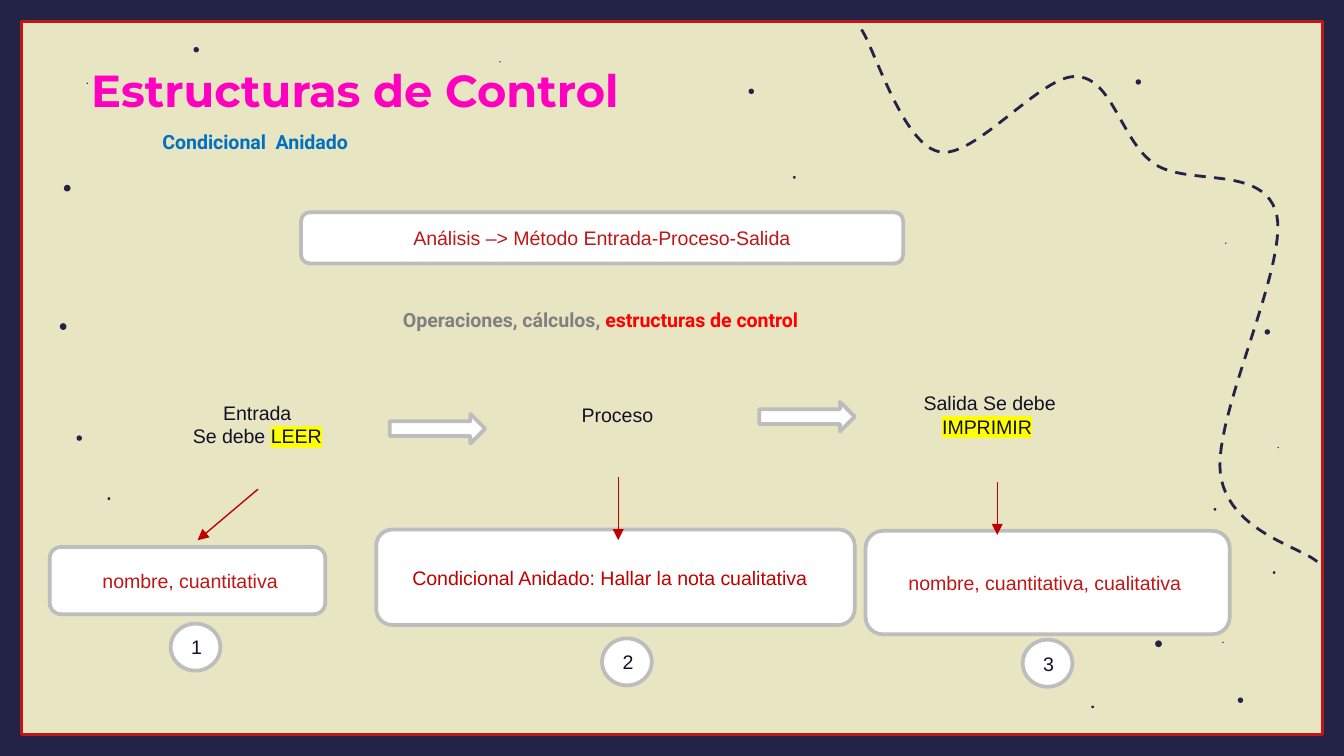
from dataclasses import dataclass
from typing import Optional

from lxml import etree
from pptx import Presentation
from pptx.dml.color import RGBColor
from pptx.enum.dml import MSO_LINE
from pptx.enum.shapes import MSO_CONNECTOR, MSO_SHAPE
from pptx.enum.text import MSO_ANCHOR, PP_ALIGN
from pptx.oxml.ns import qn
from pptx.util import Inches, Pt

RECT, ROUNDED = MSO_SHAPE.RECTANGLE, MSO_SHAPE.ROUNDED_RECTANGLE
OVAL, ARROW = MSO_SHAPE.OVAL, MSO_SHAPE.RIGHT_ARROW
LEFT, CENTER, JUSTIFY = PP_ALIGN.LEFT, PP_ALIGN.CENTER, PP_ALIGN.JUSTIFY
TOP, MIDDLE = MSO_ANCHOR.TOP, MSO_ANCHOR.MIDDLE
STRAIGHT, DASH = MSO_CONNECTOR.STRAIGHT, MSO_LINE.DASH

NAVY, CREAM, CRIMSON, RED = "232347", "E8E5C3", "BD1717", "C00000"
INK, GRAY, WHITE, YELLOW = "121224", "BDBDBD", "FFFFFF", "FFFF00"
WIDTH, BORDER = 10, 0.16
HEIGHT = WIDTH * 9 / 16


@dataclass(frozen=True)
class Run:
    text: str
    color: str = INK
    font: str = "Arial"
    size: float = 10.5
    bold: bool = False
    highlight: Optional[str] = None


@dataclass(frozen=True)
class Box:
    at: tuple
    kind: int = ROUNDED
    fill: Optional[str] = WHITE
    line: Optional[str] = GRAY
    weight: float = 2
    lines: tuple = ()


@dataclass(frozen=True)
class Label:
    at: tuple
    align: int
    runs: tuple


def rgb(value: str) -> RGBColor:
    return RGBColor.from_string(value)


def paint(part, color: Optional[str]) -> None:
    if color is None:
        part.background()
    else:
        part.solid()
        part.fore_color.rgb = rgb(color)


def write(frame, lines: tuple, align: int, anchor: int) -> None:
    for name, value in {"word_wrap": True, "vertical_anchor": anchor}.items():
        setattr(frame, name, value)
    for index, runs in enumerate(lines):
        paragraph = frame.add_paragraph() if index else frame.paragraphs[0]
        paragraph.alignment = align
        for item in runs:
            run = paragraph.add_run()
            run.text = item.text
            look = {"name": item.font, "size": Pt(item.size), "bold": item.bold}
            for name, value in look.items():
                setattr(run.font, name, value)
            run.font.color.rgb = rgb(item.color)
            if item.highlight:
                mark = etree.Element(qn("a:highlight"))
                etree.SubElement(mark, qn("a:srgbClr"), val=item.highlight)
                run.font.fill._xPr.find(qn("a:solidFill")).addnext(mark)


def draw_boxes(shapes, boxes: list) -> None:
    for box in boxes:
        shape = shapes.add_shape(box.kind, *map(Inches, box.at))
        shape.shadow.inherit = False
        paint(shape.fill, box.fill)
        paint(shape.line.fill, box.line)
        if box.line:
            shape.line.width = Pt(box.weight)
        if box.lines:
            write(shape.text_frame, box.lines, CENTER, MIDDLE)


def draw_label(shapes, label: Label) -> None:
    textbox = shapes.add_textbox(*map(Inches, label.at))
    write(textbox.text_frame, (label.runs,), label.align, TOP)


def draw_pointer(shapes, start: tuple, end: tuple) -> None:
    pointer = shapes.add_connector(STRAIGHT, *map(Inches, start + end))
    pointer.line.width = Pt(0.75)
    paint(pointer.line.fill, RED)
    etree.SubElement(pointer.line._get_or_add_ln(), qn("a:tailEnd"), type="triangle")
    etree.SubElement(pointer._element.spPr, qn("a:effectLst"))


def bezier(a: tuple, b: tuple, c: tuple, d: tuple, t: float) -> tuple:
    s = 1 - t
    return tuple(s**3 * p + 3 * s * s * t * q + 3 * s * t * t * r + t**3 * u
                 for p, q, r, u in zip(a, b, c, d))


def draw_trail(shapes, knots: tuple, steps: int = 24) -> None:
    points = [bezier(*knots[i:i + 4], step / steps)
              for i in range(0, len(knots) - 1, 3) for step in range(1, steps + 1)]
    builder = shapes.build_freeform(*map(Inches, knots[0]))
    builder.add_line_segments([tuple(map(Inches, p)) for p in points], close=False)
    trail = builder.convert_to_shape()
    trail.shadow.inherit = False
    trail.fill.background()
    paint(trail.line.fill, NAVY)
    for name, value in {"width": Pt(1.5), "dash_style": DASH}.items():
        setattr(trail.line, name, value)


FRAME = (
    (0, 0, WIDTH, BORDER),
    (0, HEIGHT - BORDER, WIDTH, BORDER),
    (0, 0, BORDER, HEIGHT),
    (WIDTH - BORDER, 0, BORDER, HEIGHT),
)
TRAIL = (
    (6.41, 0.22), (6.51, 0.37), (6.72, 1.08), (6.99, 1.13), (7.25, 1.19),
    (7.75, 0.55), (8.01, 0.57), (8.28, 0.58), (8.34, 1.05), (8.59, 1.22),
    (8.84, 1.39), (9.41, 1.22), (9.5, 1.6), (9.58, 1.99), (9.03, 3.09),
    (9.08, 3.52), (9.13, 3.95), (9.68, 4.07), (9.8, 4.18),
)
DOTS = {
    0.05: ((8.62, 4.79), (0.5, 1.4), (0.47, 2.43)),
    0.04: ((5.59, 0.68), (9.23, 5.21), (9.43, 2.47), (0.59, 3.26), (8.47, 0.61),
           (1.46, 0.37)),
    0.02: ((0.81, 3.71), (9.04, 3.79), (5.91, 1.32), (9.48, 4.26), (8.13, 5.26)),
    0.01: ((9.1, 4.78), (9.12, 1.81), (3.72, 0.46), (9.51, 3.33), (0.65, 0.62)),
}
STAGES = (
    ((0.93, 2.67), ((Run("Entrada"),),
                    (Run("Se debe "), Run("LEER", highlight=YELLOW)))),
    ((3.61, 2.6), ((Run("Proceso"),),)),
    ((6.38, 2.6), ((Run("Salida Se debe "), Run("IMPRIMIR", highlight=YELLOW),
                    Run(" ")),)),
)
METHOD = ((2.24, 1.58, 4.48, 0.38), "Análisis –> Método Entrada-Proceso-Salida", CRIMSON)
DETAILS = (
    ((0.37, 4.07, 2.05, 0.5), " nombre, cuantitativa", CRIMSON),
    ((2.8, 3.94, 3.56, 0.71), "Condicional Anidado: Hallar la nota cualitativa  ", RED),
    ((6.44, 3.95, 2.71, 0.77), "nombre, cuantitativa, cualitativa ", CRIMSON),
)
FLOW_ARROWS = ((2.9, 3.08), (5.65, 2.99))
POINTERS = (
    ((1.92, 3.64), (1.47, 4.02)),
    ((4.6, 3.55), (4.6, 4.02)),
    ((7.42, 3.59), (7.42, 3.98)),
)
BADGES = ((1.27, 4.64), (4.48, 4.75), (7.61, 4.76))
SUBTITLE = Label((1.11, 0.92, 3.55, 0.28), JUSTIFY,
                 (Run("Condicional  Anidado", "0070C0", "Roboto", bold=True),))
OPERATIONS = Label((2.9, 2.24, 6.74, 0.28), JUSTIFY,
                   (Run("Operaciones, cálculos, ", "808080", "Roboto", bold=True),
                    Run("estructuras de control", "FF0000", "Roboto", bold=True)))
TITLE = Label((0.58, 0.42, 5.09, 0.5), LEFT,
              (Run("Estructuras de Control", "FF00C1", "Montserrat", 24, True),))


def main() -> None:
    deck = Presentation()
    deck.slide_width, deck.slide_height = Inches(WIDTH), Inches(HEIGHT)
    slide = deck.slides.add_slide(deck.slide_layouts[6])
    paint(slide.background.fill, CREAM)
    shapes = slide.shapes

    border = Box((BORDER, BORDER, WIDTH - 2 * BORDER, HEIGHT - 2 * BORDER),
                 RECT, None, CRIMSON, 1.5)
    draw_boxes(shapes, [Box(bar, RECT, NAVY, None) for bar in FRAME] + [border])
    draw_trail(shapes, TRAIL)
    draw_boxes(shapes, [Box((x - size / 2, y - size / 2, size, size), OVAL, NAVY, None)
                        for size, centers in DOTS.items() for x, y in centers])
    draw_label(shapes, SUBTITLE)
    stages = [Box((*corner, 1.97, 0.97), OVAL, CREAM, CREAM, lines=lines)
              for corner, lines in STAGES]
    arrows = [Box((*corner, 0.71, 0.22), ARROW) for corner in FLOW_ARROWS]
    method, *details = [Box(at, lines=((Run(text, color),),))
                        for at, text, color in (METHOD, *DETAILS)]
    draw_boxes(shapes, [*stages, method, *arrows, *details])
    for start, end in POINTERS:
        draw_pointer(shapes, start, end)
    draw_boxes(shapes, [Box((*corner, 0.37, 0.35), OVAL, lines=((Run(str(number)),),))
                        for number, corner in enumerate(BADGES, 1)])
    for label in (OPERATIONS, TITLE):
        draw_label(shapes, label)
    deck.save("out.pptx")


if __name__ == "__main__":
    main()
